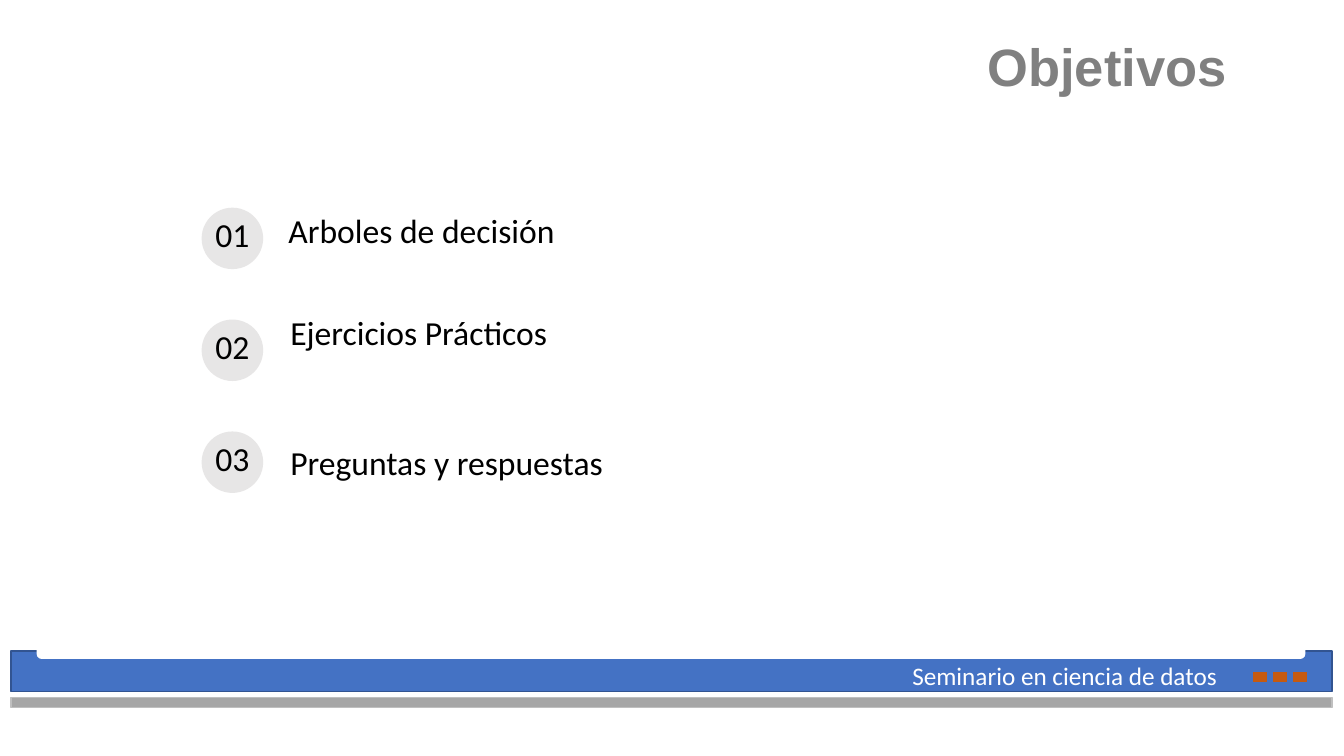
from pptx import Presentation
from pptx.dml.color import RGBColor as RGB
from pptx.enum.shapes import MSO_SHAPE as Shape
from pptx.enum.text import MSO_ANCHOR as Anchor, MSO_AUTO_SIZE as AutoSize, PP_ALIGN as Align
from pptx.util import Inches, Pt

THEME = {
    "band": "4472C4", "band_edge": "325491", "paper": "FFFFFF",
    "rule": "A6A6A6", "rule_edge": "BFBFBF", "accent": "C55A11",
    "badge": "E7E6E6", "heading": "808080", "ink": "000000",
    "heading_size": 37.5, "item_size": 24, "caption_size": 18,
    "heading_font": "Arial", "body_font": "Calibri",
}

deck = Presentation()
deck.slide_width, deck.slide_height = Inches(13.33), Inches(7.5)
slide = deck.slides.add_slide(deck.slide_layouts[0])
shapes = slide.shapes
heading, first_item = slide.placeholders


def area(left, top, width, height):
    """Turn percentages of the slide's width and height into lengths."""
    across, down = deck.slide_width / 100, deck.slide_height / 100
    return [round(n) for n in (left * across, top * down, width * across, height * down)]


def write(holder, box, text, size, color, font="body_font", bold=False,
          align=Align.LEFT, anchor=Anchor.TOP, insets=(0.1, 0, 0.1, 0.1),
          spacing=0.9, after=0):
    """Place a text holder and fill it with one formatted paragraph."""
    holder.left, holder.top, holder.width, holder.height = area(*box)
    frame = holder.text_frame
    frame.text = text
    left, top, right, bottom = map(Inches, insets)
    paragraph = frame.paragraphs[0]
    formats = (
        (frame, {"word_wrap": True, "auto_size": AutoSize.NONE, "vertical_anchor": anchor,
                 "margin_left": left, "margin_top": top,
                 "margin_right": right, "margin_bottom": bottom}),
        (paragraph, {"alignment": align, "line_spacing": spacing,
                     "space_before": Pt(0), "space_after": Pt(after)}),
        (paragraph.runs[0].font, {"name": THEME[font], "size": Pt(THEME[size]), "bold": bold}),
    )
    for target, values in formats:
        for key, value in values.items():
            setattr(target, key, value)
    paragraph.runs[0].font.color.rgb = RGB.from_string(THEME[color])


# Footer band, accent squares and number badges
squares = [(Shape.RECTANGLE, (93.25 + 1.5 * n, 88.93, 0.98, 1.2), "accent", "accent")
           for n in range(3)]
badges = [(Shape.OVAL, (15, 27.47 + 14.8 * n, 4.58, 8.13), "badge", None) for n in range(3)]
decorations = [
    (Shape.RECTANGLE, (0.83, 86.13, 98.27, 5.33), "band", "band_edge"),
    (Shape.ROUNDED_RECTANGLE, (2.78, 83.6, 94.3, 3.47), "paper", "paper"),
    (Shape.RECTANGLE, (0.83, 92.27, 98.27, 1.33), "rule", "rule_edge"),
    *squares, *badges,
]
for kind, box, fill, edge in decorations:
    decoration = shapes.add_shape(kind, *area(*box))
    decoration.shadow.inherit = False
    decoration.fill.solid()
    decoration.fill.fore_color.rgb = RGB.from_string(THEME[fill])
    if edge:
        decoration.line.color.rgb = RGB.from_string(THEME[edge])
        decoration.line.width = Pt(1)
    else:
        decoration.line.fill.background()

write(shapes.add_textbox(0, 0, 0, 0), (67.14, 86.67, 25.88, 5.33),
      "Seminario en ciencia de datos", "caption_size", "paper",
      insets=(0.1, 0.05, 0.1, 0.05), spacing=1)
write(heading, (10.58, 5.33, 82.52, 8), "Objetivos", "heading_size", "heading",
      font="heading_font", bold=True, align=Align.RIGHT, anchor=Anchor.BOTTOM,
      insets=(0.1, 0.05, 0.24, 0.05), spacing=0.7)

# Numbered objectives
objectives = [
    ("Arboles de decisión", (20.71, 28.4, 50.11, 6)),
    ("Ejercicios Prácticos", (20.86, 41.87, 30.83, 10.53)),
    ("Preguntas y respuestas", (20.86, 59.07, 26.86, 8.13)),
]
for index, (objective, box) in enumerate(objectives):
    write(shapes.add_textbox(0, 0, 0, 0), (13.92, 26.27 + 14.8 * index, 6.75, 8.13),
          f"{index + 1:02}", "item_size", "ink", align=Align.CENTER,
          insets=(0.1, 0.2, 0.1, 0.1))
    item = shapes.add_textbox(0, 0, 0, 0) if index else first_item
    write(item, box, objective, "item_size", "ink", after=12)

deck.save("out.pptx")
